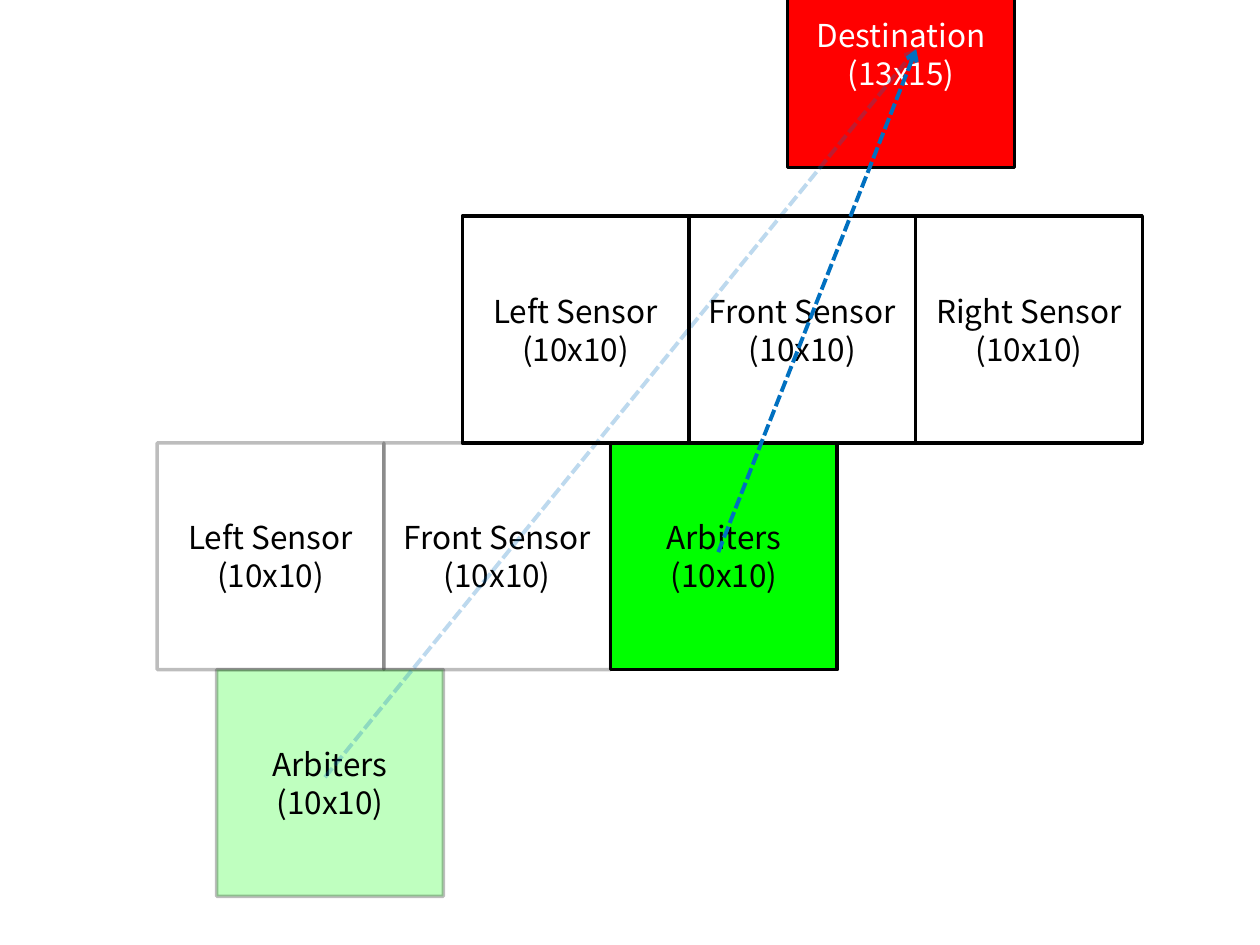
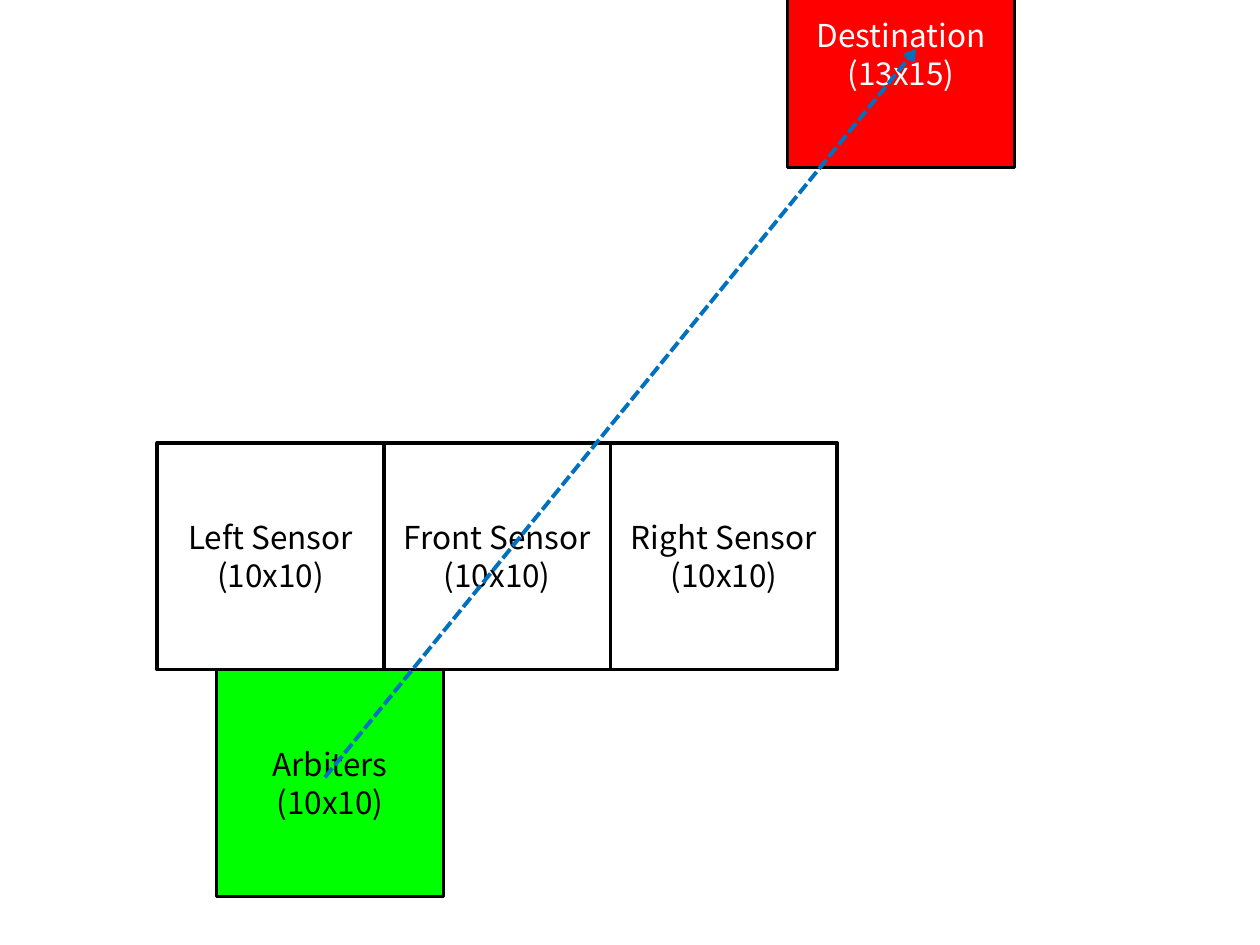
from lxml.etree import SubElement
from pptx import Presentation
from pptx.dml.color import RGBColor
from pptx.enum.dml import MSO_LINE
from pptx.enum.shapes import MSO_CONNECTOR, MSO_SHAPE
from pptx.enum.text import MSO_ANCHOR, PP_ALIGN
from pptx.oxml.ns import qn
from pptx.util import Cm, Pt

BLACK = RGBColor(0x00, 0x00, 0x00)
WHITE = RGBColor(0xFF, 0xFF, 0xFF)
GREEN = RGBColor(0x00, 0xFF, 0x00)
RED = RGBColor(0xFF, 0x00, 0x00)
BLUE = RGBColor(0x00, 0x70, 0xC0)
FONT = "Noto Sans CJK KR"

SIDE = 4.57
SENSOR_TOP = 8.93
NEXT_SENSOR_TOP = SENSOR_TOP - SIDE
ARBITER_TOP = SENSOR_TOP + SIDE
SENSOR_LEFT = 3.17
NEXT_SENSOR_LEFT = 9.32
ARBITER_LEFT = 4.37
NEXT_ARBITER_LEFT = SENSOR_LEFT + 2 * SIDE
DESTINATION = (15.88, -1.19)
TARGET = (18.47, 0.99)
START = (6.55, 15.67)
NEXT_START = (14.48, 11.13)
SENSORS = ("Left Sensor", "Front Sensor", "Right Sensor")
FADED = 25


def set_opacity(element, percent):
    """Make every solid colour inside the element partly transparent."""
    if percent < 100:
        for colour in element.iter(qn("a:srgbClr")):
            SubElement(colour, qn("a:alpha"), val=str(percent * 1000))


def add_square(slide, left, top, name, size="10x10", fill=None,
               text_colour=BLACK, opacity=100):
    """Add an outlined square with its name and grid size."""
    shape = slide.shapes.add_shape(
        MSO_SHAPE.RECTANGLE, Cm(left), Cm(top), Cm(SIDE), Cm(SIDE))
    shape.shadow.inherit = False
    if fill is None:
        shape.fill.background()
    else:
        shape.fill.solid()
        shape.fill.fore_color.rgb = fill
    shape.line.color.rgb = BLACK
    shape.line.width = Pt(2)
    set_opacity(shape._element.spPr, opacity)
    frame = shape.text_frame
    frame.word_wrap = True
    frame.vertical_anchor = MSO_ANCHOR.MIDDLE
    frame.text = f"{name}\n({size})"
    for paragraph in frame.paragraphs:
        paragraph.alignment = PP_ALIGN.CENTER
        paragraph.font.name = FONT
        paragraph.font.size = Pt(18)
        paragraph.font.color.rgb = text_colour


def add_sensors(slide, left, top, names=SENSORS, opacity=100):
    """Add a row of touching sensor squares."""
    for column, name in enumerate(names):
        add_square(slide, left + column * SIDE, top, name, opacity=opacity)


def add_arbiters(slide, left, top, opacity=100):
    """Add the green arbiters square."""
    add_square(slide, left, top, "Arbiters", fill=GREEN, opacity=opacity)


def add_destination(slide):
    """Add the red destination square."""
    add_square(slide, *DESTINATION, "Destination", "13x15", RED, WHITE)


def add_heading(slide, start, opacity=100):
    """Add a dashed arrow from the start point to the destination."""
    connector = slide.shapes.add_connector(
        MSO_CONNECTOR.STRAIGHT, *map(Cm, start + TARGET))
    connector.line.color.rgb = BLUE
    connector.line.width = Pt(2.25)
    connector.line.dash_style = MSO_LINE.SQUARE_DOT
    properties = connector._element.spPr
    set_opacity(properties, opacity)
    SubElement(properties.find(qn("a:ln")), qn("a:tailEnd"), type="arrow")
    SubElement(properties, qn("a:effectLst"))


def build_move_slide(presentation):
    """Show the arbiters after a move, with the earlier place faded."""
    slide = presentation.slides.add_slide(presentation.slide_layouts[6])
    add_sensors(slide, SENSOR_LEFT, SENSOR_TOP, SENSORS[:2], FADED)
    add_arbiters(slide, ARBITER_LEFT, ARBITER_TOP, FADED)
    add_destination(slide)
    add_heading(slide, START, FADED)
    add_sensors(slide, NEXT_SENSOR_LEFT, NEXT_SENSOR_TOP)
    add_arbiters(slide, NEXT_ARBITER_LEFT, SENSOR_TOP)
    add_heading(slide, NEXT_START)


def build_start_slide(presentation):
    """Show the arbiters at the starting place."""
    slide = presentation.slides.add_slide(presentation.slide_layouts[6])
    add_sensors(slide, SENSOR_LEFT, SENSOR_TOP)
    add_arbiters(slide, ARBITER_LEFT, ARBITER_TOP)
    add_destination(slide)
    add_heading(slide, START)


def main():
    """Build both slides and save the presentation."""
    presentation = Presentation()
    presentation.slide_width = Cm(25.4)
    presentation.slide_height = Cm(19.05)
    build_move_slide(presentation)
    build_start_slide(presentation)
    presentation.save("out.pptx")


if __name__ == "__main__":
    main()
